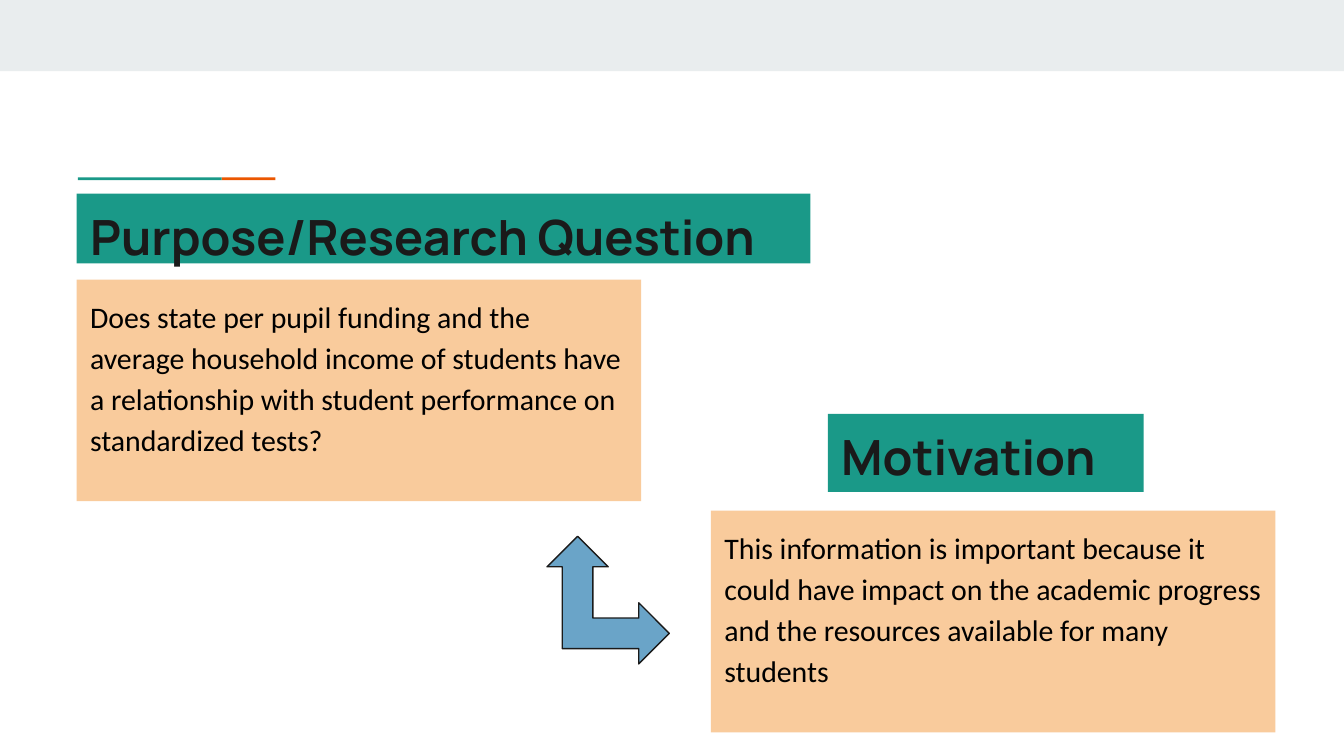
from pptx import Presentation
from pptx.dml.color import RGBColor
from pptx.enum.shapes import MSO_SHAPE
from pptx.enum.text import MSO_ANCHOR, MSO_AUTO_SIZE, PP_ALIGN
from pptx.oxml.ns import qn
from pptx.util import Inches, Pt
from lxml import etree

RECTANGLE = MSO_SHAPE.RECTANGLE
LEFT_UP_ARROW = MSO_SHAPE.LEFT_UP_ARROW
TOP = MSO_ANCHOR.TOP
LEFT = PP_ALIGN.LEFT
NO_AUTOFIT = MSO_AUTO_SIZE.NONE

BAND = RGBColor(0xE9, 0xED, 0xEE)
TEAL = RGBColor(0x1A, 0x99, 0x88)
ORANGE = RGBColor(0xEB, 0x56, 0x00)
PEACH = RGBColor(0xF9, 0xCB, 0x9C)
BLUE = RGBColor(0x6A, 0xA4, 0xC8)
INK = RGBColor(0x1A, 0x1A, 0x1A)
BLACK = RGBColor(0, 0, 0)

HEADING = {"name": "Manrope", "size": Pt(26), "bold": True, "color": INK}
BODY = {"name": "Calibri", "size": Pt(16), "bold": False, "color": BLACK}
FRAME = {"word_wrap": True, "auto_size": NO_AUTOFIT, "vertical_anchor": TOP}
FRAME.update({f"margin_{side}": Inches(0.1)
              for side in ("left", "top", "right", "bottom")})
PARAGRAPH = {"alignment": LEFT, "space_before": Pt(0), "space_after": Pt(0)}

PANEL_SIZE = (4.2, 1.65)


def set_all(target, values):
    for name, value in values.items():
        setattr(target, name, value)


class SlideBuilder:
    def __init__(self, slide):
        self.slide = slide

    def shape(self, kind, box, fill, line=None, rotation=0):
        shape = self.slide.shapes.add_shape(kind, *map(Inches, box))
        shape.shadow.inherit = False
        shape.rotation = rotation
        shape.fill.solid()
        shape.fill.fore_color.rgb = fill
        if line is None:
            shape.line.fill.background()
        else:
            shape.line.color.rgb = line
            shape.line.width = Pt(0.75)

    def fill_text(self, holder, box, text, fill, style, spacing):
        """Place a text holder, colour it and write one styled paragraph."""
        set_all(holder, dict(zip(("left", "top", "width", "height"),
                                 map(Inches, box))))
        holder.fill.solid()
        holder.fill.fore_color.rgb = fill
        set_all(holder.text_frame, FRAME)
        paragraph = holder.text_frame.paragraphs[0]
        set_all(paragraph, {**PARAGRAPH, "line_spacing": spacing})
        run = paragraph.add_run()
        run.text = text
        set_all(run.font, {k: v for k, v in style.items() if k != "color"})
        run.font.color.rgb = style["color"]
        return paragraph

    def heading(self, holder, box, text):
        self.fill_text(holder, box, text, TEAL, HEADING, 1.0)

    def subheading(self, box, text):
        self.heading(self.slide.shapes.add_textbox(*map(Inches, box)), box, text)

    def panel(self, holder, corner, text):
        paragraph = self.fill_text(holder, (*corner, *PANEL_SIZE), text,
                                   PEACH, BODY, 1.15)
        properties = paragraph._p.get_or_add_pPr()
        properties.set("marL", "0")
        properties.set("indent", "0")
        etree.SubElement(properties, qn("a:buNone"))


def main():
    deck = Presentation()
    deck.slide_width = Inches(10)
    deck.slide_height = deck.slide_width * 9 // 16
    slide = deck.slides.add_slide(deck.slide_layouts[3])
    title, question, motivation = slide.placeholders
    builder = SlideBuilder(slide)

    builder.shape(RECTANGLE, (0, 0, 10, 0.53), BAND)
    builder.shape(RECTANGLE, (1.65, 1.32, 0.4, 0.02), ORANGE)
    builder.shape(RECTANGLE, (0.58, 1.32, 1.07, 0.02), TEAL)

    builder.heading(title, (0.57, 1.44, 5.46, 0.52), "Purpose/Research Question")
    builder.panel(question, (0.57, 2.08),
                  "Does state per pupil funding and the average household income "
                  "of students have a relationship with student performance on "
                  "standardized tests?")
    builder.panel(motivation, (5.29, 3.8),
                  "This information is important because it could have impact on "
                  "the academic progress and the resources available for many "
                  "students")
    builder.subheading((6.16, 3.08, 2.35, 0.58), "Motivation")
    builder.shape(LEFT_UP_ARROW, (4.05, 4.01, 0.95, 0.91), BLUE, INK, 90)

    deck.save("out.pptx")


if __name__ == "__main__":
    main()
